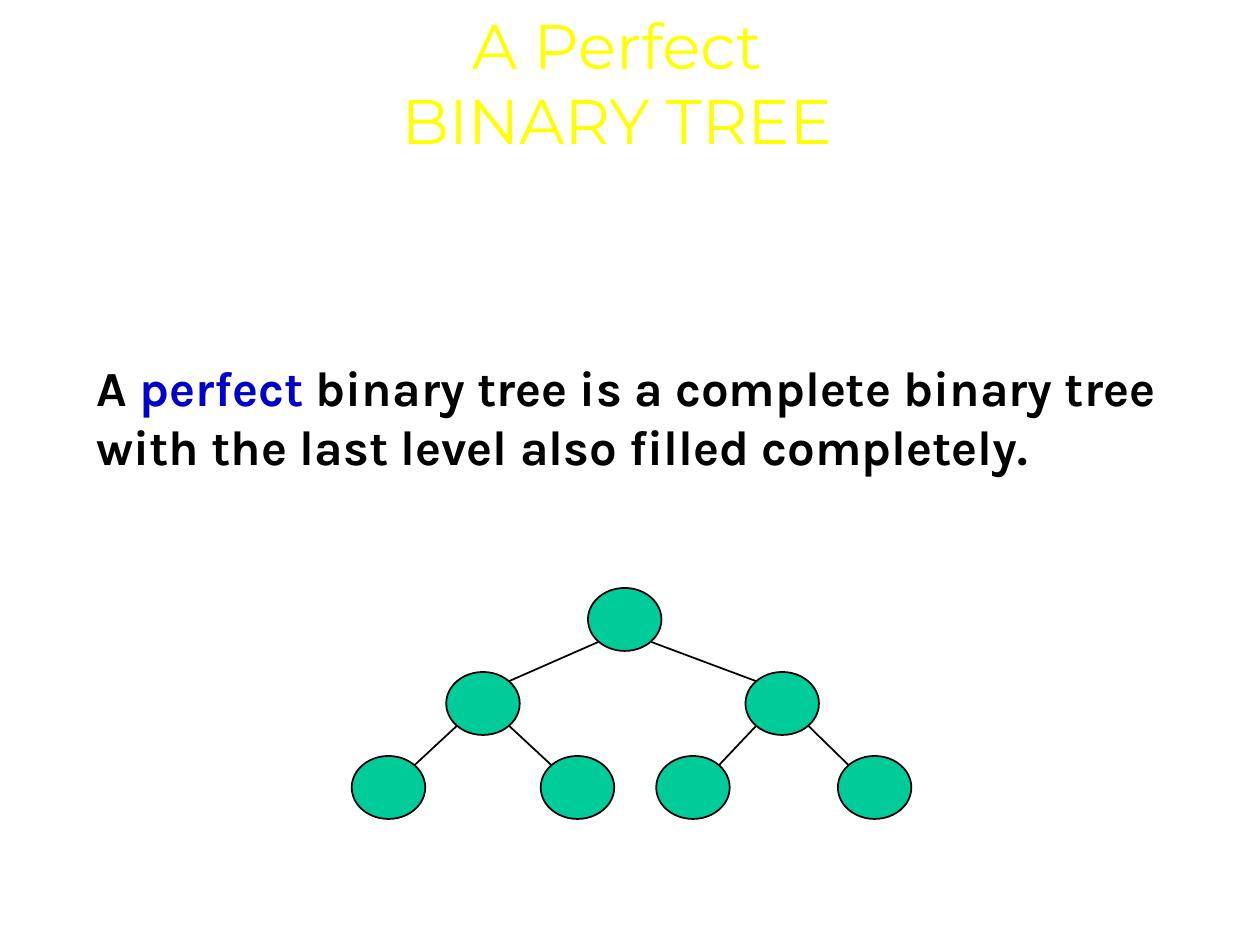
import pptx
import pptx.dml.color
import pptx.enum.shapes
import pptx.enum.text
import pptx.oxml.ns
import pptx.util
from lxml import etree
from math import copysign, sqrt

YELLOW = pptx.dml.color.RGBColor(0xFF, 0xFF, 0x00)
BLUE = pptx.dml.color.RGBColor(0x00, 0x00, 0xCC)
BLACK = pptx.dml.color.RGBColor(0x00, 0x00, 0x00)
GREEN = pptx.dml.color.RGBColor(0x00, 0xCC, 0x99)

# The slide is a grid of square cells, twelve to the inch
COLUMNS, ROWS = 120, 90
CELL = pptx.util.Inches(10) // COLUMNS
NODE_WIDTH, NODE_HEIGHT = 7, 6


class TreeSlide:
    title_font, body_font = "Montserrat", "Karla"
    title_size, body_size = pptx.util.Pt(36), pptx.util.Pt(28)
    line_width = pptx.util.Pt(1)

    def __init__(self, presentation):
        self.slide = presentation.slides.add_slide(presentation.slide_layouts[5])

    @staticmethod
    def cells(*lengths):
        return [round(length * CELL) for length in lengths]

    def title(self, lines, *box):
        shape = self.slide.shapes.title
        shape.left, shape.top, shape.width, shape.height = self.cells(*box)
        frame = shape.text_frame
        frame.text = "\n".join(lines)
        frame.auto_size = pptx.enum.text.MSO_AUTO_SIZE.NONE
        frame.vertical_anchor = pptx.enum.text.MSO_ANCHOR.TOP
        for paragraph in frame.paragraphs:
            paragraph.alignment = pptx.enum.text.PP_ALIGN.CENTER
            paragraph.font.name = self.title_font
            paragraph.font.size = self.title_size
            paragraph.font.color.rgb = YELLOW

    def text(self, pieces, *box):
        frame = self.slide.shapes.add_textbox(*self.cells(*box)).text_frame
        frame.word_wrap = True
        paragraph = frame.paragraphs[0]
        paragraph.font.name = self.body_font
        paragraph.font.size = self.body_size
        paragraph.font.bold = True
        for wording, color in pieces:
            run = paragraph.add_run()
            run.text = wording
            run.font.color.rgb = color

    def node(self, x, y):
        box = (x - NODE_WIDTH / 2, y - NODE_HEIGHT / 2, NODE_WIDTH, NODE_HEIGHT)
        shape = self.slide.shapes.add_shape(
            pptx.enum.shapes.MSO_SHAPE.OVAL, *self.cells(*box))
        shape.shadow.inherit = False
        shape.fill.solid()
        shape.fill.fore_color.rgb = GREEN
        self.outline(shape)

    def edge(self, parent, child):
        # Edges meet the ovals at their diagonal points
        side = copysign(1, child[0] - parent[0])
        dx, dy = side * NODE_WIDTH / sqrt(8), NODE_HEIGHT / sqrt(8)
        ends = (parent[0] + dx, parent[1] + dy, child[0] - dx, child[1] - dy)
        connector = self.slide.shapes.add_connector(
            pptx.enum.shapes.MSO_CONNECTOR.STRAIGHT, *self.cells(*ends))
        self.outline(connector)
        etree.SubElement(connector._element.spPr, pptx.oxml.ns.qn("a:effectLst"))

    def outline(self, shape):
        shape.line.color.rgb = BLACK
        shape.line.width = self.line_width

    def tree(self, levels, top, step):
        nodes = [(x, top + depth * step)
                 for depth, level in enumerate(levels) for x in level]
        for x, y in nodes:
            self.node(x, y)
        for index, child in enumerate(nodes[1:]):
            self.edge(nodes[index // 2], child)


def main():
    presentation = pptx.Presentation()
    presentation.slide_width = COLUMNS * CELL
    presentation.slide_height = ROWS * CELL
    page = TreeSlide(presentation)

    # Title and definition
    page.title(["A Perfect", "BINARY TREE"], 9, 0, 99.5, 24)
    page.text([("A ", BLACK), ("perfect", BLUE),
               (" binary tree is a complete binary tree with the last level"
                " also filled completely.", BLACK)], 8, 33.5, 109, 12.5)

    # Tree: node centres by level, from the root down
    page.tree([[59.5], [46, 74.5], [37, 55, 66, 83.3]], top=59, step=8)

    presentation.save("out.pptx")


if __name__ == "__main__":
    main()
